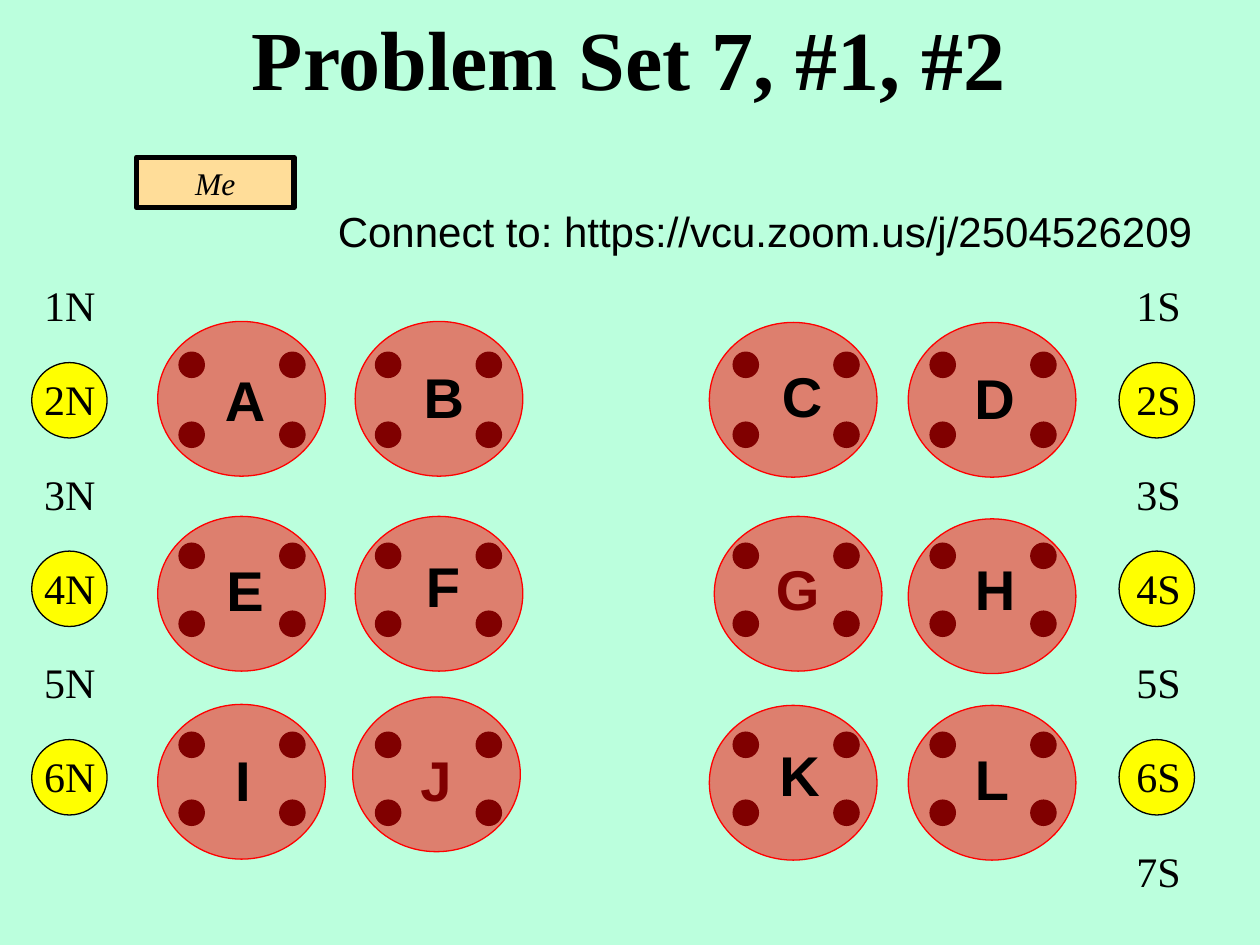
from itertools import product

from lxml.etree import SubElement
from pptx import Presentation
from pptx.dml.color import RGBColor
from pptx.enum.shapes import MSO_SHAPE
from pptx.enum.text import MSO_ANCHOR, PP_ALIGN
from pptx.oxml.ns import qn
from pptx.util import Cm, Pt

MINT = RGBColor(0xBB, 0xFF, 0xDD)
YELLOW = RGBColor(0xFF, 0xFF, 0x00)
PEACH = RGBColor(0xFF, 0xDD, 0x99)
RED = RGBColor(0xFF, 0x00, 0x00)
BLACK = RGBColor(0x00, 0x00, 0x00)
SERIF, SANS = "Times New Roman", "Arial"

TITLE = "Problem Set 7, #1, #2"
CONNECT = "Connect to: https://vcu.zoom.us/j/2504526209"

# Row labels: side letter, number of rows, label left, circle left (cm)
SIDES = [("N", 6, 0.64, 0.64), ("S", 7, 22.66, 22.56)]
ROW_TOP, ROW_PITCH = 5.51, 1.9
ROW_CIRCLE = 1.52

# Tables: letter, table left and top, letter left and top (cm)
TABLES = [
    ("A", 3.18, 6.48, 3.81, 7.24),
    ("B", 7.16, 6.48, 7.82, 7.19),
    ("C", 14.3, 6.5, 15.04, 7.16),
    ("D", 18.31, 6.5, 18.92, 7.21),
    ("E", 3.18, 10.41, 3.81, 11.07),
    ("F", 7.16, 10.41, 7.8, 11),
    ("G", 14.4, 10.41, 14.95, 11.05),
    ("H", 18.31, 10.46, 18.93, 11.05),
    ("I", 3.18, 14.2, 3.77, 14.91),
    ("J", 7.11, 14.05, 7.66, 14.91),
    ("K", 14.3, 14.22, 14.99, 14.81),
    ("L", 18.31, 14.22, 18.87, 14.88),
]
COVERED_LETTERS = "GJ"  # these tables lie over their letters
TABLE_SIZE = (3.38, 3.12)
LETTER_SIZE = (2.26, 1.63)

SEAT_LEFTS = [3.61, 5.64, 7.57, 9.6, 14.78, 16.81, 18.75, 20.78]
SEAT_TOPS = [7.1, 8.51, 10.95, 12.32, 14.76, 16.13]
SEAT = 0.51


def add_figure(slide, kind, left, top, width, height, fill, line, weight=0.75):
    shape = slide.shapes.add_shape(kind, Cm(left), Cm(top), Cm(width), Cm(height))
    shape.shadow.inherit = False
    shape.fill.solid()
    shape.fill.fore_color.rgb = fill
    shape.line.color.rgb = line
    shape.line.width = Pt(weight)
    return shape


def write(shape, text, size, font, align=PP_ALIGN.LEFT, bold=False, italic=False):
    shape.text_frame.word_wrap = True
    paragraph = shape.text_frame.paragraphs[0]
    paragraph.alignment = align
    run = paragraph.add_run()
    run.text = text
    run.font.size = Pt(size)
    run.font.name = font
    run.font.bold = bold
    run.font.italic = italic
    run.font.color.rgb = BLACK


def add_text(slide, left, top, width, height, *text_style, **options):
    box = slide.shapes.add_textbox(Cm(left), Cm(top), Cm(width), Cm(height))
    write(box, *text_style, **options)


def add_table_circle(slide, left, top):
    """Add a half-transparent red ellipse."""
    shape = add_figure(slide, MSO_SHAPE.OVAL, left, top, *TABLE_SIZE, RED, RED)
    color = shape.fill._xPr.find(qn("a:solidFill"))[0]
    SubElement(color, qn("a:alpha"), val="50000")


def add_rows(slide):
    """Add the row names at both sides, the even rows on yellow circles."""
    for side, count, label_left, circle_left in SIDES:
        for number in range(1, count + 1):
            top = ROW_TOP + (number - 1) * ROW_PITCH
            if number % 2 == 0:
                add_figure(slide, MSO_SHAPE.OVAL, circle_left, top - 0.1,
                           ROW_CIRCLE, ROW_CIRCLE, YELLOW, BLACK)
            add_text(slide, label_left, top, 1.7, 1.27, f"{number}{side}", 24, SERIF)


def add_tables(slide):
    for top, left in product(SEAT_TOPS, SEAT_LEFTS):
        add_figure(slide, MSO_SHAPE.OVAL, left, top, SEAT, SEAT, BLACK, BLACK)
    for letter, left, top, _, _ in TABLES:
        if letter not in COVERED_LETTERS:
            add_table_circle(slide, left, top)
    for letter, _, _, left, top in TABLES:
        add_text(slide, left, top, *LETTER_SIZE, letter, 32, SANS,
                 PP_ALIGN.CENTER, bold=True)
    for letter, left, top, _, _ in TABLES:
        if letter in COVERED_LETTERS:
            add_table_circle(slide, left, top)


def main():
    presentation = Presentation()
    presentation.slide_width = Cm(25.4)
    presentation.slide_height = Cm(19.05)
    slide = presentation.slides.add_slide(presentation.slide_layouts[6])
    slide.background.fill.solid()
    slide.background.fill.fore_color.rgb = MINT

    add_rows(slide)
    me = add_figure(slide, MSO_SHAPE.RECTANGLE, 2.75, 3.17, 3.18, 1.02, PEACH, BLACK, 3)
    me.text_frame.vertical_anchor = MSO_ANCHOR.MIDDLE
    write(me, "Me", 18, SERIF, PP_ALIGN.CENTER, italic=True)
    add_tables(slide)
    add_text(slide, 6.56, 4.02, 18.2, 1.27, CONNECT, 24, SANS)
    add_text(slide, 2.2, 0, 20.96, 2.31, TITLE, 48, SERIF, PP_ALIGN.CENTER, bold=True)

    presentation.save("out.pptx")


if __name__ == "__main__":
    main()
